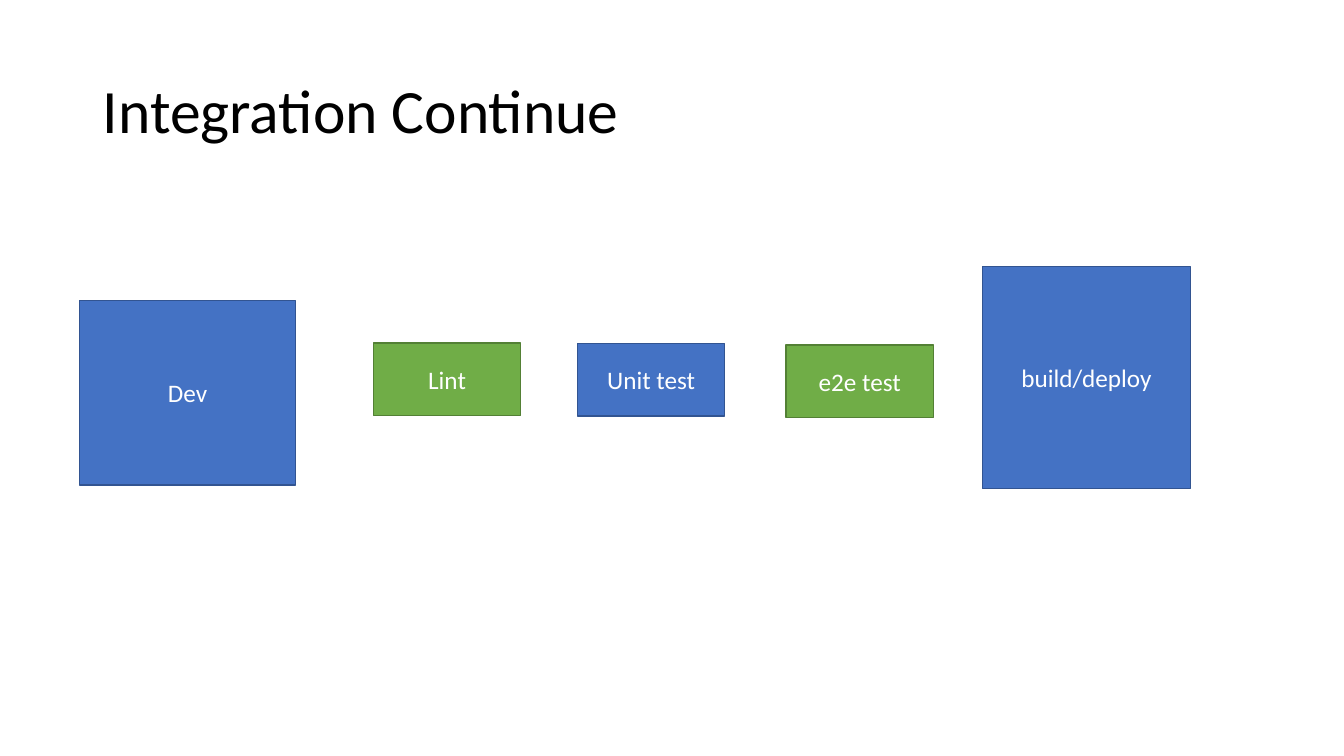
from pptx import Presentation
from pptx.dml.color import RGBColor
from pptx.enum.shapes import MSO_SHAPE
from pptx.enum.text import MSO_ANCHOR, MSO_AUTO_SIZE, PP_ALIGN
from pptx.util import Pt

RECTANGLE = MSO_SHAPE.RECTANGLE
MIDDLE = MSO_ANCHOR.MIDDLE
NO_AUTOFIT = MSO_AUTO_SIZE.NONE
LEFT, CENTER = PP_ALIGN.LEFT, PP_ALIGN.CENTER
TITLE_ONLY = 5

COLORS = {
    "black": "000000",
    "white": "FFFFFF",
    "blue": "4472C4",
    "blue_edge": "325491",
    "green": "70AD47",
    "green_edge": "538035",
}
FRAME_FORMAT = {"word_wrap": True, "auto_size": NO_AUTOFIT, "vertical_anchor": MIDDLE}
TITLE_BOX = (66.2, 28.8, 828, 104.4)
TEST_SIZE = (105.1, 51.9)
STAGES = [
    ("Dev", "blue", 57, 214.6, 154.1, 131.8),
    ("Lint", "green", 266.8, 245, *TEST_SIZE),
    ("Unit test", "blue", 412.6, 245.2, *TEST_SIZE),
    ("e2e test", "green", 561.6, 246.3, *TEST_SIZE),
    ("build/deploy", "blue", 701.8, 190.6, 148.6, 158.4),
]


def color(name):
    return RGBColor.from_string(COLORS[name])


def apply(target, values):
    for attribute, value in values.items():
        setattr(target, attribute, value)


def write(frame, text, size, ink, alignment):
    apply(frame, FRAME_FORMAT)
    frame.text = text
    paragraph = frame.paragraphs[0]
    paragraph.alignment = alignment
    apply(paragraph.font, {"name": "Calibri", "size": Pt(size)})
    paragraph.font.color.rgb = color(ink)
    return paragraph


def set_title(slide, text):
    title = slide.shapes.title
    apply(title, dict(zip(("left", "top", "width", "height"), map(Pt, TITLE_BOX))))
    write(title.text_frame, text, 44, "black", LEFT).line_spacing = 0.9


def add_stage(slide, label, hue, *box):
    stage = slide.shapes.add_shape(RECTANGLE, *map(Pt, box))
    stage.shadow.inherit = False
    stage.fill.solid()
    stage.fill.fore_color.rgb = color(hue)
    stage.line.color.rgb = color(f"{hue}_edge")
    stage.line.width = Pt(1)
    write(stage.text_frame, label, 18, "white", CENTER)


def main():
    deck = Presentation()
    apply(deck, {"slide_width": Pt(960), "slide_height": Pt(540)})
    slide = deck.slides.add_slide(deck.slide_layouts[TITLE_ONLY])
    set_title(slide, "Integration Continue")
    for stage in STAGES:
        add_stage(slide, *stage)
    deck.save("out.pptx")


if __name__ == "__main__":
    main()
